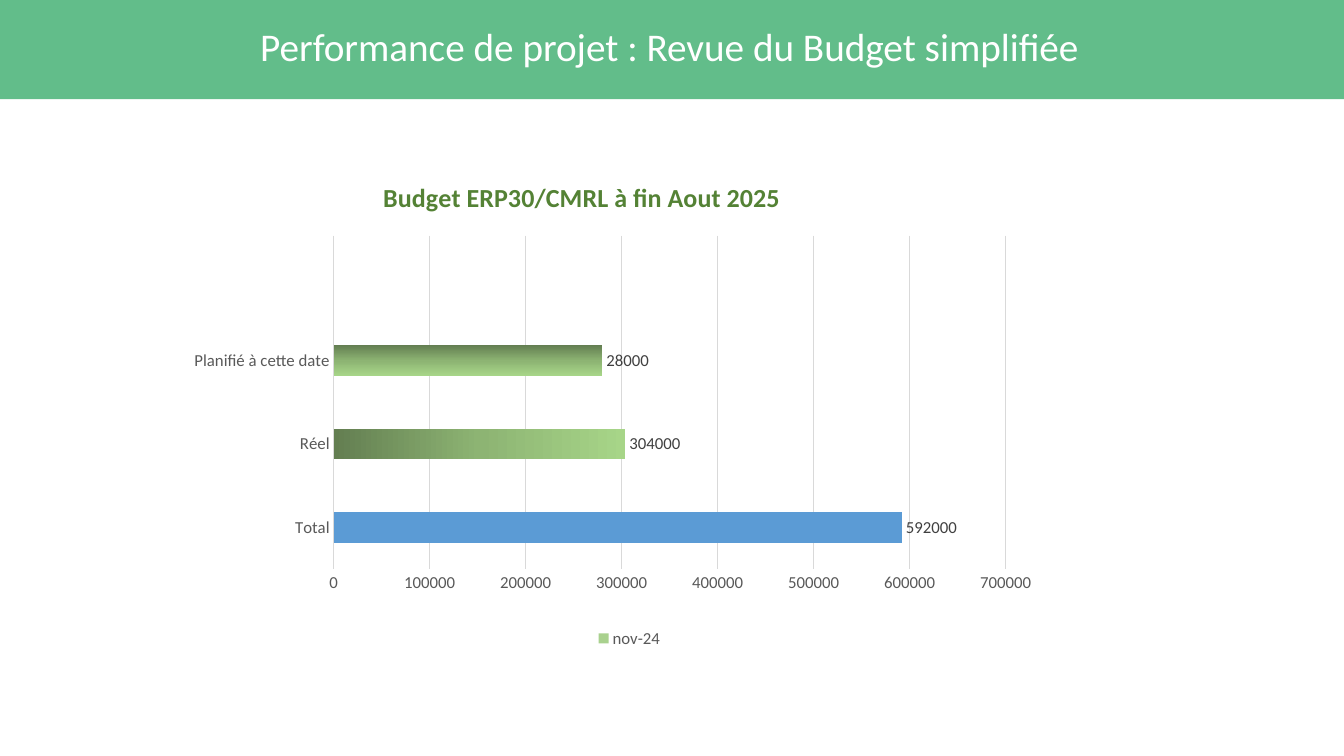
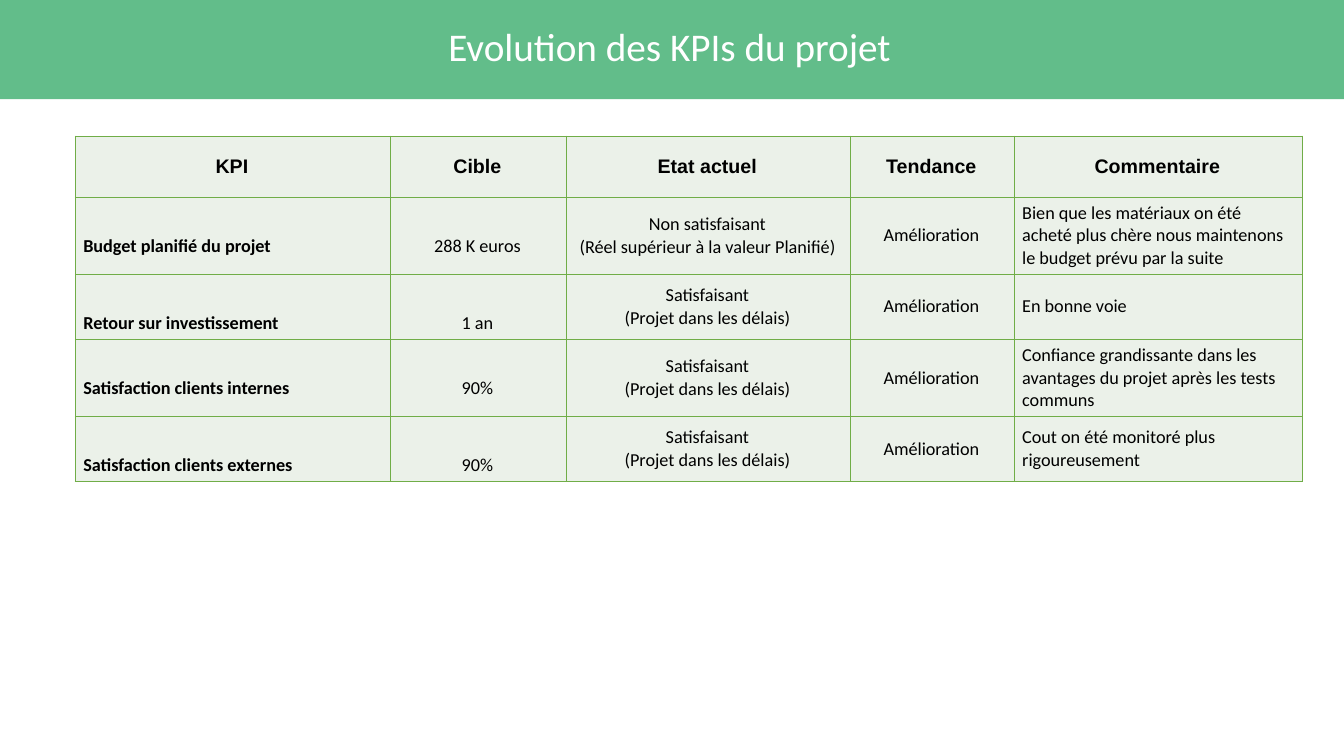
from copy import deepcopy
from dataclasses import dataclass

from lxml.etree import SubElement
from pptx import Presentation
from pptx.chart.data import CategoryChartData
from pptx.dml.color import RGBColor as RGB
from pptx.enum.chart import XL_CHART_TYPE as ChartType
from pptx.enum.chart import XL_LABEL_POSITION as LabelPosition
from pptx.enum.chart import XL_LEGEND_POSITION as LegendPosition
from pptx.enum.chart import XL_TICK_MARK as TickMark
from pptx.enum.shapes import MSO_SHAPE as Shape
from pptx.enum.text import MSO_ANCHOR as Anchor
from pptx.enum.text import PP_ALIGN as Align
from pptx.oxml.ns import qn
from pptx.util import Cm, Pt


@dataclass(frozen=True)
class Theme:
    band: str = "62BD8A"
    white: str = "FFFFFF"
    black: str = "000000"
    cell: str = "EBF1E9"
    border: str = "70AD47"
    chart_title: str = "548235"
    axis_text: str = "595959"
    label_text: str = "404040"
    grid: str = "D9D9D9"
    total_bar: str = "5B9BD5"
    series: str = "A9D18E"
    gradient: tuple = ("637E51", "8DB473", "A7D588")
    body_font: str = "Calibri"
    header_font: str = "Arial"
    title_size: float = 28
    chart_title_size: float = 18.6
    chart_size: float = 12
    header_size: float = 14
    cell_size: float = 13


THEME = Theme()

BUDGET = {"Total": 592000, "Réel": 304000, "Planifié à cette date": 280000, "": None}

COLUMN_WIDTHS = (7.94, 4.43, 7.16, 4.13, 7.26)
ROW_HEIGHTS = (1.54, 1.94, 1.64, 1.94, 1.64)
ON_TIME = "Satisfaisant\n(Projet dans les délais)"
KPI_ROWS = (
    ("KPI", "Cible", "Etat actuel", "Tendance", "Commentaire"),
    ("Budget planifié du projet", "288 K euros",
     "Non satisfaisant\n(Réel supérieur à la valeur Planifié)", "Amélioration",
     "Bien que les matériaux on été acheté plus chère nous maintenons "
     "le budget prévu par la suite"),
    ("Retour sur investissement", "1 an", ON_TIME, "Amélioration", "En bonne voie"),
    ("Satisfaction clients internes", "90%", ON_TIME, "Amélioration",
     "Confiance grandissante dans les avantages du projet après les tests communs"),
    ("Satisfaction clients externes", "90%", ON_TIME, "Amélioration",
     "Cout on été monitoré plus rigoureusement"),
)


def style_font(font, size, color, name=THEME.body_font, bold=False):
    font.size, font.name, font.bold = Pt(size), name, bold
    font.color.rgb = RGB.from_string(color)


def write(frame, text, align=Align.LEFT, spacing=None, **font_format):
    """Fill a text frame, one paragraph per line of text."""
    for number, line in enumerate(text.split("\n")):
        para = frame.add_paragraph() if number else frame.paragraphs[0]
        para.alignment = align
        if spacing:
            para.line_spacing = spacing
        span = para.add_run()
        span.text = line
        style_font(span.font, **font_format)


def paint(fill, color):
    fill.solid()
    fill.fore_color.rgb = RGB.from_string(color)


def add_page(deck, title):
    """Add a blank page with the title band."""
    page = deck.slides.add_slide(deck.slide_layouts[6])
    band = page.shapes.add_shape(Shape.RECTANGLE, 0, 0, deck.slide_width, Cm(2.5))
    band.shadow.inherit = False
    paint(band.fill, THEME.band)
    band.line.fill.background()
    box = page.shapes.add_textbox(Cm(1.22), Cm(0.55), Cm(31.3), Cm(1.35))
    box.text_frame.word_wrap = True
    box.text_frame.vertical_anchor = Anchor.MIDDLE
    write(box.text_frame, title, align=Align.CENTER, spacing=0.9,
          size=THEME.title_size, color=THEME.white)
    return page


def set_layout(parent, index, **values):
    """Place a chart part by fractions of the chart area."""
    for old in parent.findall(qn("c:layout")):
        parent.remove(old)
    layout = SubElement(parent, qn("c:layout"))
    parent.insert(index, layout)
    manual = SubElement(layout, qn("c:manualLayout"))
    for key, value in values.items():
        SubElement(manual, qn(f"c:{key}")).set("val", str(value))


def shade_bar(series, index, angle):
    """Give one bar the three-stop gradient of the theme."""
    fill = series.points[index].format.fill
    fill.gradient()
    fill.gradient_angle = angle
    stops = list(series._element.iter(qn("a:gsLst")))[-1]
    stops.insert(1, deepcopy(stops[0]))
    for stop, color, position in zip(fill.gradient_stops, THEME.gradient, (0, 0.5, 1)):
        stop.color.rgb = RGB.from_string(color)
        stop.position = position


def style_axes(chart):
    for axis in (chart.category_axis, chart.value_axis):
        axis.major_tick_mark = axis.minor_tick_mark = TickMark.NONE
        style_font(axis.tick_labels.font, THEME.chart_size, THEME.axis_text)
    chart.category_axis.has_major_gridlines = False
    chart.value_axis.has_major_gridlines = True
    for line in (chart.category_axis.format.line,
                 chart.value_axis.major_gridlines.format.line):
        line.width = Pt(0.75)
        line.color.rgb = RGB.from_string(THEME.grid)
    chart.value_axis.format.line.fill.background()
    chart.value_axis.minimum_scale, chart.value_axis.maximum_scale = 0, 700000
    chart.value_axis.major_unit = 100000


def style_bars(plot):
    plot.gap_width = 170
    plot.vary_by_categories = False
    series = plot.series[0]
    series.invert_if_negative = False
    paint(series.format.fill, THEME.series)
    paint(series.points[0].format.fill, THEME.total_bar)
    shade_bar(series, 1, 0)
    shade_bar(series, 2, 270)

    labels = series.data_labels
    labels.show_value = True
    labels.position = LabelPosition.OUTSIDE_END
    style_font(labels.font, THEME.chart_size, THEME.label_text)
    planned = series.points[2].data_label
    write(planned.text_frame, "28000", align=None,
          size=THEME.chart_size, color=THEME.label_text)
    planned.position = LabelPosition.OUTSIDE_END


def add_budget_chart(page, left, top, width, height):
    data = CategoryChartData()
    data.categories = list(BUDGET)
    data.add_series("nov-24", list(BUDGET.values()))
    chart = page.shapes.add_chart(ChartType.BAR_CLUSTERED, left, top, width, height,
                                  data).chart
    style_font(chart.font, THEME.chart_size, THEME.axis_text)
    write(chart.chart_title.text_frame, "Budget ERP30/CMRL à fin Aout 2025", align=None,
          size=THEME.chart_title_size, color=THEME.chart_title, bold=True)
    chart.chart_title.include_in_layout = False
    chart.has_legend = True
    chart.legend.position = LegendPosition.BOTTOM
    chart.legend.include_in_layout = False
    style_font(chart.legend.font, THEME.chart_size, THEME.axis_text)
    style_axes(chart)
    style_bars(chart.plots[0])

    area = chart._chartSpace.find(qn("c:chart"))
    set_layout(area.find(qn("c:title")), 1, xMode="edge", yMode="edge", x=0.22, y=0.14)
    set_layout(area.find(qn("c:plotArea")), 0, layoutTarget="inner", xMode="edge",
               yMode="edge", x=0.17, y=0.25, w=0.75, h=0.6)


def add_borders(cell):
    """Draw the four sides; call it before the cell is filled."""
    properties = cell._tc.get_or_add_tcPr()
    for side in "LRTB":
        line = SubElement(properties, qn(f"a:ln{side}"), w=str(Pt(0.96)))
        fill = SubElement(line, qn("a:solidFill"))
        SubElement(fill, qn("a:srgbClr"), val=THEME.border)


def fill_cell(cell, text, row, column):
    add_borders(cell)
    paint(cell.fill, THEME.cell)
    cell.margin_left, cell.margin_right = Cm(0.2), Cm(0.25)
    is_header = row == 0
    is_tall = not is_header and column < 2
    cell.vertical_anchor = Anchor.TOP if is_tall else Anchor.MIDDLE
    is_left = not is_header and column in (0, 4)
    write(cell.text_frame, text,
          align=Align.LEFT if is_left else Align.CENTER,
          spacing=2.5 if is_tall else None,
          size=THEME.header_size if is_header else THEME.cell_size,
          name=THEME.header_font if is_header else THEME.body_font,
          color=THEME.black, bold=is_header or column == 0)


def add_kpi_table(page, left, top):
    table = page.shapes.add_table(
        len(KPI_ROWS), len(COLUMN_WIDTHS), left, top,
        Cm(sum(COLUMN_WIDTHS)), Cm(sum(ROW_HEIGHTS))).table
    table.first_row = table.horz_banding = False
    for column, width in zip(table.columns, COLUMN_WIDTHS):
        column.width = Cm(width)
    for row, height in zip(table.rows, ROW_HEIGHTS):
        row.height = Cm(height)
    for row, texts in enumerate(KPI_ROWS):
        for column, text in enumerate(texts):
            fill_cell(table.cell(row, column), text, row, column)


def main():
    deck = Presentation()
    deck.slide_width, deck.slide_height = Cm(33.87), Cm(19.05)
    budget = add_page(deck, "Performance de projet : Revue du Budget simplifiée")
    add_budget_chart(budget, Cm(4.57), Cm(2.44), Cm(22.58), Cm(14))
    kpis = add_page(deck, "Evolution des KPIs du projet")
    add_kpi_table(kpis, Cm(1.9), Cm(3.43))
    deck.save("out.pptx")


if __name__ == "__main__":
    main()
